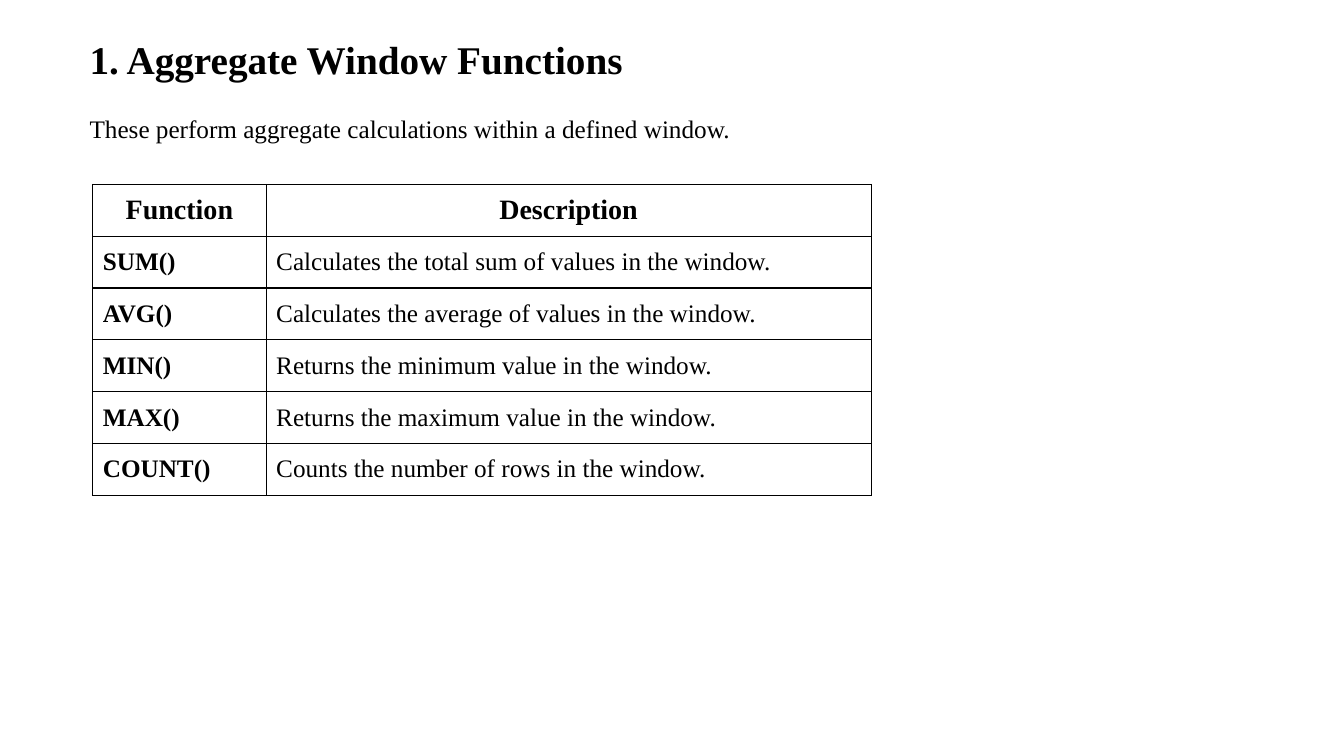
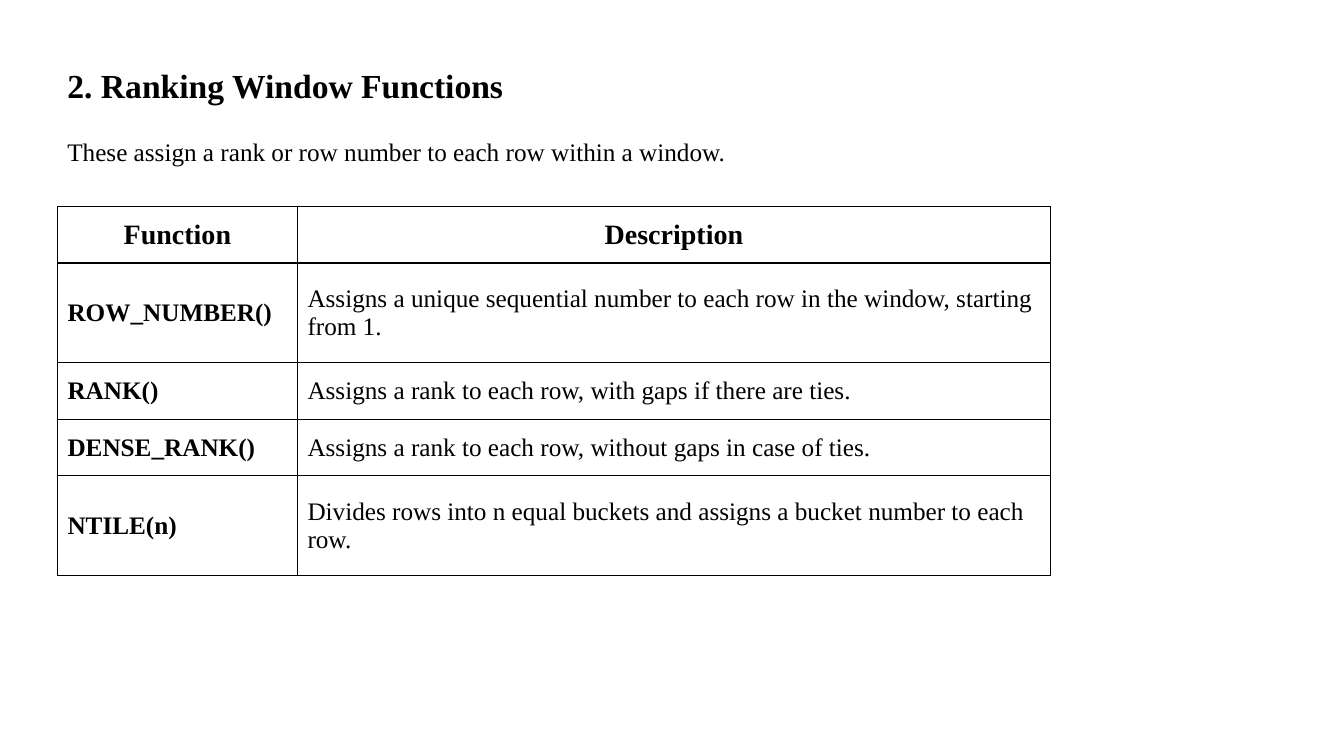
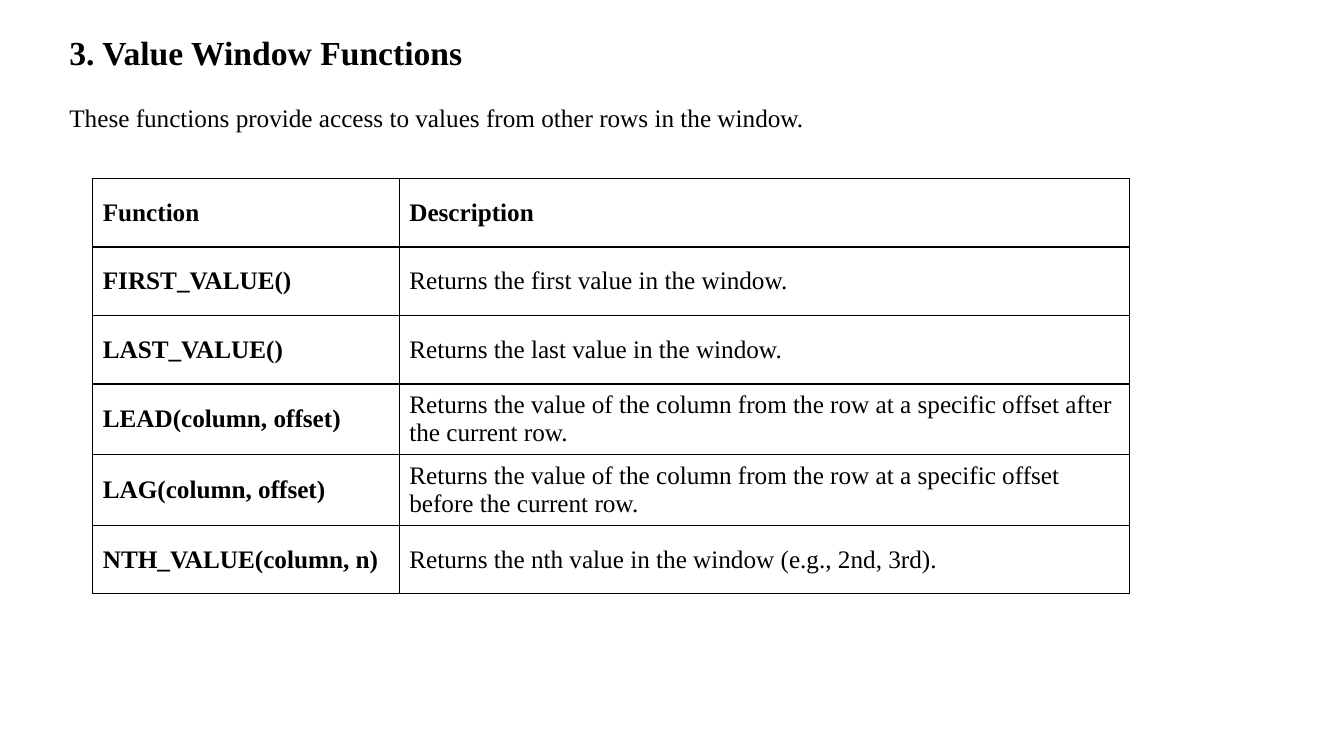
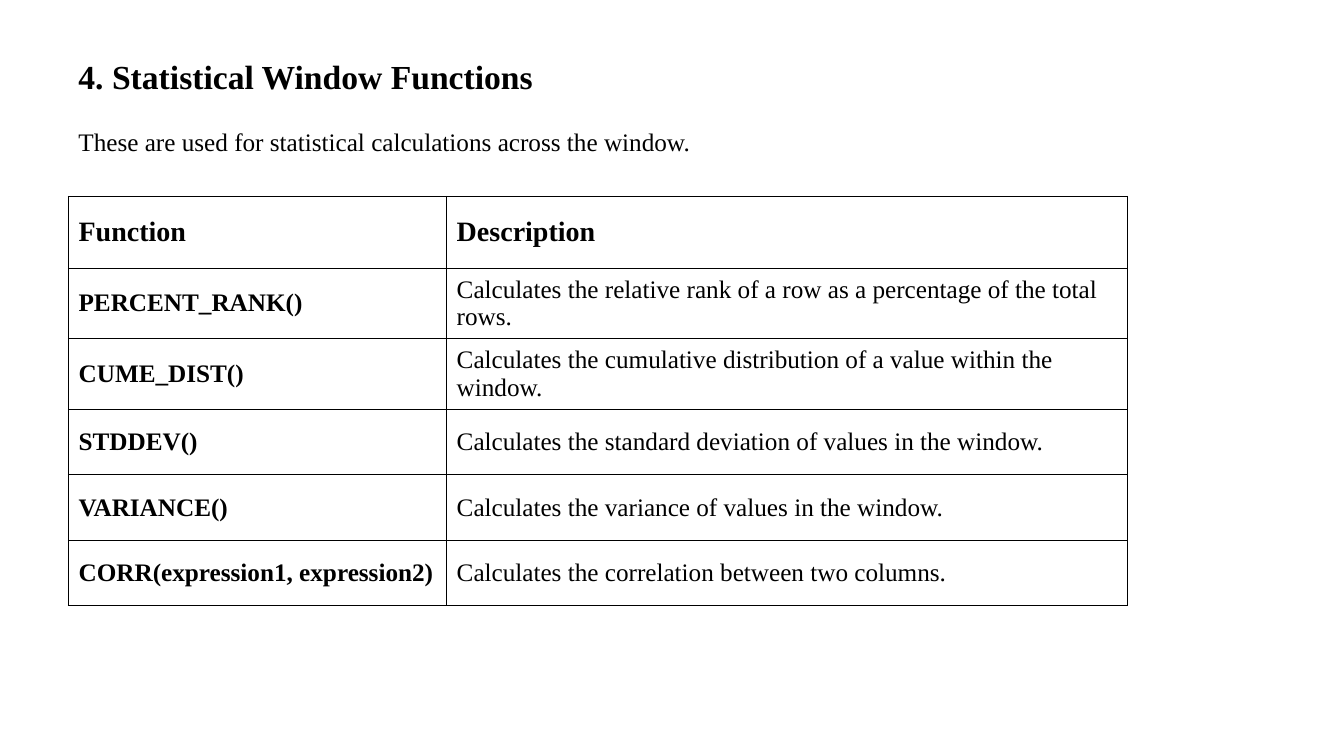
import dataclasses

import lxml.etree
import pptx
import pptx.dml.color
import pptx.enum.text
import pptx.oxml.ns
import pptx.util

Inches = pptx.util.Inches
Align = pptx.enum.text.PP_ALIGN
Anchor = pptx.enum.text.MSO_ANCHOR
RGB = pptx.dml.color.RGBColor


@dataclasses.dataclass(frozen=True)
class Theme:
    font: str = "Times New Roman"
    ink: str = "000000"
    paper: str = "FFFFFF"
    title_size: int = 24
    large_title_size: int = 28
    header_size: int = 20
    body_size: int = 18
    intro_gap: int = 22
    border_width: int = 1


THEME = Theme()


def write_text(para, text, *, size=THEME.body_size, bold=False,
               align=Align.LEFT, before=0):
    """Write one formatted run into a paragraph."""
    para.alignment = align
    if before:
        para.space_before = pptx.util.Pt(before)
    span = para.add_run()
    span.text = text
    span.font.name = THEME.font
    span.font.size = pptx.util.Pt(size)
    span.font.bold = bold
    span.font.color.rgb = RGB.from_string(THEME.ink)


def add_page(deck):
    page = deck.slides.add_slide(deck.slide_layouts[6])
    fill = page.background.fill
    fill.solid()
    fill.fore_color.rgb = RGB.from_string(THEME.paper)
    return page


def add_heading(page, title, intro, *, place, size=THEME.title_size):
    """Title with an introductory line below it."""
    box = page.shapes.add_textbox(*map(Inches, place))
    frame = box.text_frame
    frame.word_wrap = False
    frame.auto_size = pptx.enum.text.MSO_AUTO_SIZE.SHAPE_TO_FIT_TEXT
    frame.vertical_anchor = Anchor.MIDDLE
    write_text(frame.paragraphs[0], title, size=size, bold=True)
    write_text(frame.add_paragraph(), intro, before=THEME.intro_gap)


def set_borders(cell):
    """Draw a solid line on all four sides of a cell."""
    qn = pptx.oxml.ns.qn
    properties = cell._tc.get_or_add_tcPr()
    for side in ("lnL", "lnR", "lnT", "lnB"):
        line = lxml.etree.SubElement(properties, qn(f"a:{side}"))
        line.set("w", str(pptx.util.Pt(THEME.border_width)))
        fill = lxml.etree.SubElement(line, qn("a:solidFill"))
        lxml.etree.SubElement(fill, qn("a:srgbClr")).set("val", THEME.ink)


def add_function_table(page, functions, *, corner, columns, heights,
                       header_size=THEME.header_size, header_align=Align.LEFT):
    """Two-column table of function names and descriptions."""
    rows = [("Function", "Description"), *functions]
    size = (sum(columns), sum(heights))
    table = page.shapes.add_table(
        len(rows), len(columns), *map(Inches, (*corner, *size))).table
    table.first_row = table.horz_banding = False
    for column, width in zip(table.columns, columns):
        column.width = Inches(width)
    for row, height in zip(table.rows, heights):
        row.height = Inches(height)
    for r, texts in enumerate(rows):
        header = r == 0
        for c, text in enumerate(texts):
            cell = table.cell(r, c)
            set_borders(cell)
            cell.fill.background()
            cell.vertical_anchor = Anchor.MIDDLE
            write_text(cell.text_frame.paragraphs[0], text,
                       size=header_size if header else THEME.body_size,
                       bold=header or c == 0,
                       align=header_align if header else Align.LEFT)


def main():
    deck = pptx.Presentation()
    deck.slide_width = Inches(13.33)
    deck.slide_height = Inches(7.5)

    # Aggregate functions
    page = add_page(deck)
    add_heading(page, "1. Aggregate Window Functions",
                "These perform aggregate calculations within a defined window.",
                place=(0.79, 0.3, 6.62, 1.18), size=THEME.large_title_size)
    add_function_table(page, [
        ("SUM()", "Calculates the total sum of values in the window."),
        ("AVG()", "Calculates the average of values in the window."),
        ("MIN()", "Returns the minimum value in the window."),
        ("MAX()", "Returns the maximum value in the window."),
        ("COUNT()", "Counts the number of rows in the window."),
    ], corner=(0.92, 1.83), columns=(1.72, 6), heights=[0.514] * 6,
        header_align=Align.CENTER)

    # Ranking functions
    page = add_page(deck)
    add_heading(page, "2. Ranking Window Functions",
                "These assign a rank or row number to each row within a window.",
                place=(0.57, 0.59, 6.8, 1.11))
    add_function_table(page, [
        ("ROW_NUMBER()", "Assigns a unique sequential number to each row "
                         "in the window, starting from 1."),
        ("RANK()", "Assigns a rank to each row, with gaps if there are ties."),
        ("DENSE_RANK()", "Assigns a rank to each row, without gaps in case of ties."),
        ("NTILE(n)", "Divides rows into n equal buckets and assigns "
                     "a bucket number to each row."),
    ], corner=(0.57, 2.05), columns=(2.38, 7.47),
        heights=[0.56, 0.99, 0.56, 0.56, 0.99], header_align=Align.CENTER)

    # Value functions
    page = add_page(deck)
    add_heading(page, "3. Value Window Functions",
                "These functions provide access to values from other rows in the window.",
                place=(0.59, 0.26, 7.56, 1.11))
    add_function_table(page, [
        ("FIRST_VALUE()", "Returns the first value in the window."),
        ("LAST_VALUE()", "Returns the last value in the window."),
        ("LEAD(column, offset)", "Returns the value of the column from the row "
                                 "at a specific offset after the current row."),
        ("LAG(column, offset)", "Returns the value of the column from the row "
                                "at a specific offset before the current row."),
        ("NTH_VALUE(column, n)", "Returns the nth value in the window (e.g., 2nd, 3rd)."),
    ], corner=(0.92, 1.77), columns=(3.04, 7.24), heights=[0.68] * 6,
        header_size=THEME.body_size)

    # Statistical functions
    page = add_page(deck)
    add_heading(page, "4. Statistical Window Functions",
                "These are used for statistical calculations across the window.",
                place=(0.68, 0.5, 6.34, 1.11))
    add_function_table(page, [
        ("PERCENT_RANK()", "Calculates the relative rank of a row "
                           "as a percentage of the total rows."),
        ("CUME_DIST()", "Calculates the cumulative distribution of a value "
                        "within the window."),
        ("STDDEV()", "Calculates the standard deviation of values in the window."),
        ("VARIANCE()", "Calculates the variance of values in the window."),
        ("CORR(expression1, expression2)",
         "Calculates the correlation between two columns."),
    ], corner=(0.68, 1.95), columns=(3.75, 6.75), heights=[0.71] + [0.65] * 5)

    deck.save("out.pptx")


if __name__ == "__main__":
    main()
